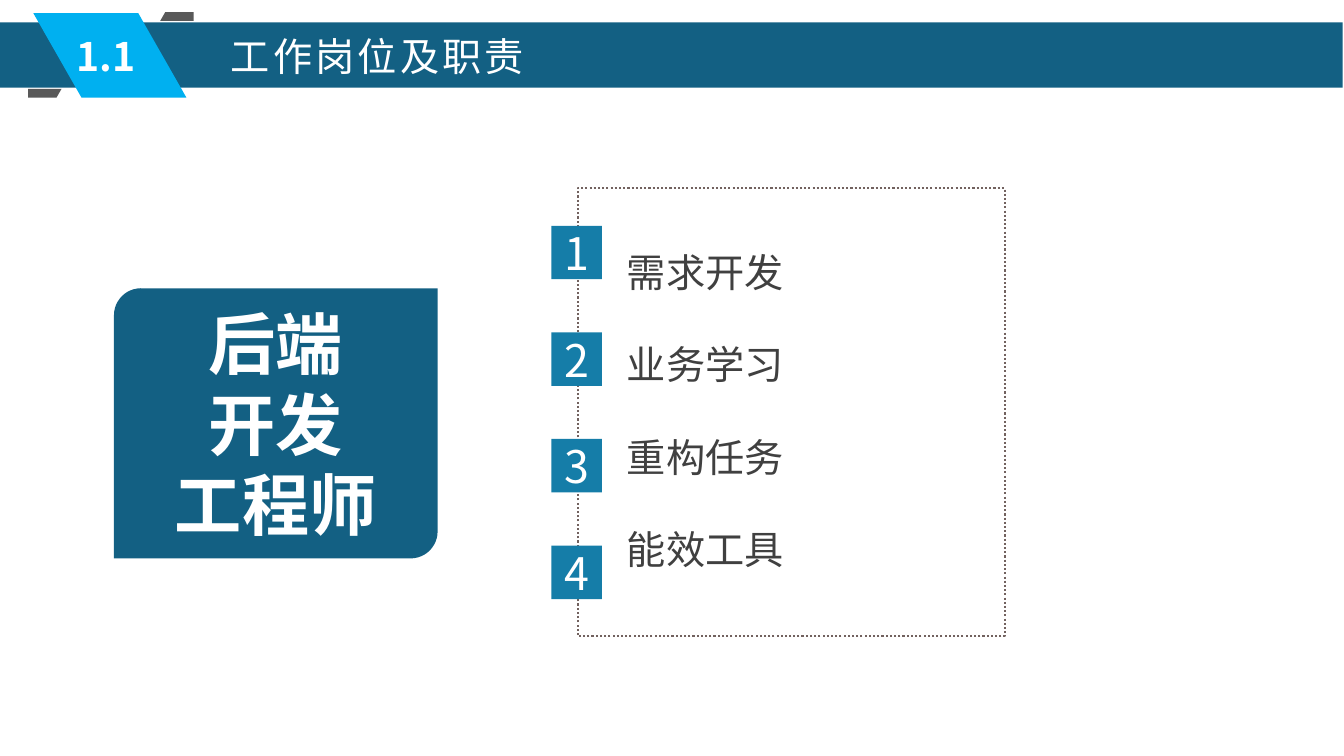
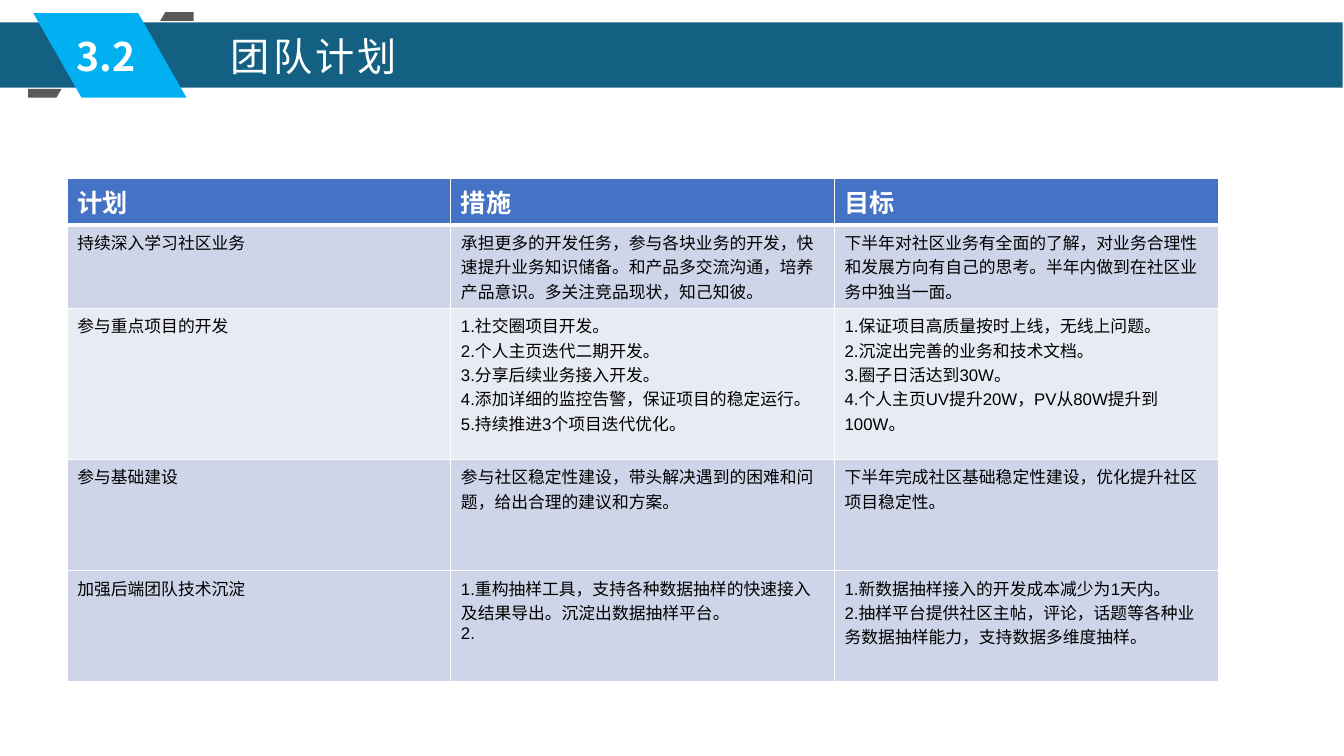
"""Build two work-report slides: job duties and the team plan."""
from lxml.etree import SubElement
from pptx import Presentation
from pptx.dml.color import RGBColor
from pptx.enum.dml import MSO_LINE
from pptx.enum.shapes import MSO_SHAPE
from pptx.enum.text import MSO_ANCHOR, MSO_AUTO_SIZE, PP_ALIGN
from pptx.oxml.ns import qn
from pptx.util import Inches, Pt

FONT = "Noto Sans CJK SC"
NAVY, CYAN, BLUE, GREY = "136083", "00B0F0", "157DA8", "595959"
WHITE, BLACK, TEXT, FRAME = "FFFFFF", "000000", "404040", "72625F"
HEAD, BAND, PALE = "4472C4", "CFD5E9", "E8EBF4"
DUTIES = ["需求开发", "业务学习", "重构任务", "能效工具"]
PLAN = [
    ("计划", "措施", "目标"),
    ("持续深入学习社区业务",
     "承担更多的开发任务，参与各块业务的开发，快速提升业务知识储备。和产品多交流沟通，培养产品意识。多关注竞品现状，知己知彼。",
     "下半年对社区业务有全面的了解，对业务合理性和发展方向有自己的思考。半年内做到在社区业务中独当一面。"),
    ("参与重点项目的开发",
     "1.社交圈项目开发。\n2.个人主页迭代二期开发。\n3.分享后续业务接入开发。\n"
     "4.添加详细的监控告警，保证项目的稳定运行。\n5.持续推进3个项目迭代优化。",
     "1.保证项目高质量按时上线，无线上问题。\n2.沉淀出完善的业务和技术文档。\n"
     "3.圈子日活达到30W。\n4.个人主页UV提升20W，PV从80W提升到100W。"),
    ("参与基础建设",
     "参与社区稳定性建设，带头解决遇到的困难和问题，给出合理的建议和方案。",
     "下半年完成社区基础稳定性建设，优化提升社区项目稳定性。"),
    ("加强后端团队技术沉淀",
     "1.重构抽样工具，支持各种数据抽样的快速接入及结果导出。沉淀出数据抽样平台。\n2.",
     "1.新数据抽样接入的开发成本减少为1天内。\n"
     "2.抽样平台提供社区主帖，评论，话题等各种业务数据抽样能力，支持数据多维度抽样。"),
]


def rgb(value):
    """Turn a hex string into a colour."""
    return RGBColor.from_string(value)


class Deck:
    """Hold the style and the current slide; lengths are percent of the slide."""

    def __init__(self):
        """Start a widescreen presentation."""
        self.prs = Presentation()
        self.prs.slide_width, self.prs.slide_height = Inches(13.33), Inches(7.5)
        self.s = None

    def x(self, share):
        """Convert a share of the slide width."""
        return round(self.prs.slide_width * share / 100)

    def y(self, share):
        """Convert a share of the slide height."""
        return round(self.prs.slide_height * share / 100)

    def box(self, at):
        """Convert left, top, width and height."""
        return self.x(at[0]), self.y(at[1]), self.x(at[2]), self.y(at[3])

    def set_text(self, tf, text, size, color, bold=False, align=PP_ALIGN.LEFT,
                 latin=FONT, spacing=None):
        """Fill a text frame and format each paragraph."""
        tf.text = text
        for p in tf.paragraphs:
            p.alignment = align
            p.font.size, p.font.bold, p.font.name = Pt(size), bold, latin
            p.font.color.rgb = rgb(color)
            props = p._p.pPr.find(qn("a:defRPr"))
            SubElement(props, qn("a:ea")).set("typeface", FONT)
            if spacing:
                props.set("spc", str(spacing))

    def paint(self, sp, fill=None, line=None):
        """Set fill and outline and drop the shadow."""
        sp.shadow.inherit = False
        if fill:
            sp.fill.solid()
            sp.fill.fore_color.rgb = rgb(fill)
        else:
            sp.fill.background()
        if line:
            sp.line.color.rgb = rgb(line)
            sp.line.width = Pt(1.5)
            sp.line.dash_style = MSO_LINE.ROUND_DOT
        else:
            sp.line.fill.background()
        return sp

    def shape(self, kind, at, fill=None, line=None, adj=()):
        """Add a preset shape."""
        sp = self.paint(self.s.shapes.add_shape(kind, *self.box(at)), fill, line)
        for i, value in enumerate(adj):
            sp.adjustments[i] = value
        return sp

    def label(self, sp, text, size, bold=False, wrap=True):
        """Set centred white text in a shape."""
        tf = sp.text_frame
        tf.word_wrap, tf.vertical_anchor = wrap, MSO_ANCHOR.MIDDLE
        self.set_text(tf, text, size, WHITE, bold, PP_ALIGN.CENTER)

    def tab(self, x, y, sign):
        """Add a slanted tab growing right and up, or left and down."""
        points = [(2.1, 0), (2.48, -1.17), (0, -1.17)]
        fb = self.s.shapes.build_freeform(self.x(x), self.y(y))
        fb.add_line_segments([(self.x(x + sign * dx), self.y(y + sign * dy))
                              for dx, dy in points])
        self.paint(fb.convert_to_shape(), GREY)

    def placeholder(self, sp, at, wrap):
        """Move a placeholder to the front and reset its frame."""
        sp.left, sp.top, sp.width, sp.height = self.box(at)
        self.s.shapes._spTree.append(sp._element)
        tf = sp.text_frame
        tf.word_wrap, tf.auto_size = wrap, MSO_AUTO_SIZE.NONE
        tf.vertical_anchor = MSO_ANCHOR.TOP
        return tf

    def slide(self, layout, number, title):
        """Add a slide with the numbered title band."""
        self.s = self.prs.slides.add_slide(self.prs.slide_layouts[layout])
        self.shape(MSO_SHAPE.RECTANGLE, (0, 2.95, 99.9, 8.65), NAVY)
        self.tab(2.1, 12.93, 1)
        self.tab(14.4, 1.6, -1)
        sp = self.shape(MSO_SHAPE.PARALLELOGRAM, (2.48, 1.73, 11.4, 11.2), CYAN, adj=[0.57])
        sp._element.spPr.find(qn("a:xfrm")).set("flipH", "1")
        tf = self.s.shapes.add_textbox(*self.box((2.48, 3.6, 10.8, 7.47))).text_frame
        tf.word_wrap = True
        self.set_text(tf, number, 28, WHITE, True, PP_ALIGN.CENTER)
        tf = self.placeholder(self.s.shapes.title, (16.43, 3.6, 23.7, 7.33), False)
        self.set_text(tf, title, 28, WHITE, spacing=230)

    def bullets(self, items, at, gap):
        """Put a plain list in the body placeholder."""
        tf = self.placeholder(self.s.placeholders[1], at, True)
        self.set_text(tf, "\n".join(items), 28, TEXT)
        for i, p in enumerate(tf.paragraphs):
            p.line_spacing = 1.5
            p.space_before = Pt(gap if i else 0)
            props = p._p.pPr
            props.set("marL", "0")
            props.set("indent", "0")
            props.find(qn("a:defRPr")).addprevious(SubElement(props, qn("a:buNone")))

    def border(self, cell, side, width):
        """Draw one white cell border."""
        ln = SubElement(cell._tc.get_or_add_tcPr(), qn(f"a:ln{side}"), w=str(Pt(width)))
        SubElement(SubElement(ln, qn("a:solidFill")), qn("a:srgbClr"), val=WHITE)

    def table(self, rows, at, heights, fills):
        """Add a table whose first row is the header."""
        left, top, width = at
        frame = self.s.shapes.add_table(len(rows), len(rows[0]),
                                        *self.box((left, top, width, sum(heights))))
        tbl = frame.table
        tbl.horz_banding = False
        for i, texts in enumerate(rows):
            tbl.rows[i].height = self.y(heights[i])
            for j, text in enumerate(texts):
                cell = tbl.cell(i, j)
                for side in "LRTB":
                    thick = (i, side) in ((0, "B"), (1, "T"))
                    self.border(cell, side, 3 if thick else 0.96)
                cell.fill.solid()
                cell.fill.fore_color.rgb = rgb(fills[i])
                if i:
                    self.set_text(cell.text_frame, text, 12, BLACK, latin="Arial")
                else:
                    self.set_text(cell.text_frame, text, 18, WHITE, True)


def main():
    """Build and save the slides."""
    deck = Deck()
    deck.slide(1, "1.1", "工作岗位及职责")
    card = deck.shape(MSO_SHAPE.ROUND_2_DIAG_RECTANGLE, (8.48, 38.13, 24.08, 35.73),
                      NAVY, adj=[0.1, 0])
    deck.label(card, "后端\n开发\n工程师", 48, True, False)
    deck.shape(MSO_SHAPE.RECTANGLE, (42.98, 24.93, 31.8, 59.2), line=FRAME)
    for i in range(len(DUTIES)):
        sp = deck.shape(MSO_SHAPE.RECTANGLE, (41.03, 29.87 + 14.1 * i, 3.75, 7.07), BLUE)
        deck.label(sp, str(i + 1), 32)
    deck.bullets(DUTIES, (45.9, 29.07, 16, 55), 15.5)

    deck.slide(5, "3.2", "团队计划")
    deck.table(PLAN, (5, 23.6, 85.65), [6.1, 11, 20, 14.7, 14.7],
               [HEAD, BAND, PALE, BAND, BAND])
    deck.prs.save("out.pptx")


if __name__ == "__main__":
    main()
